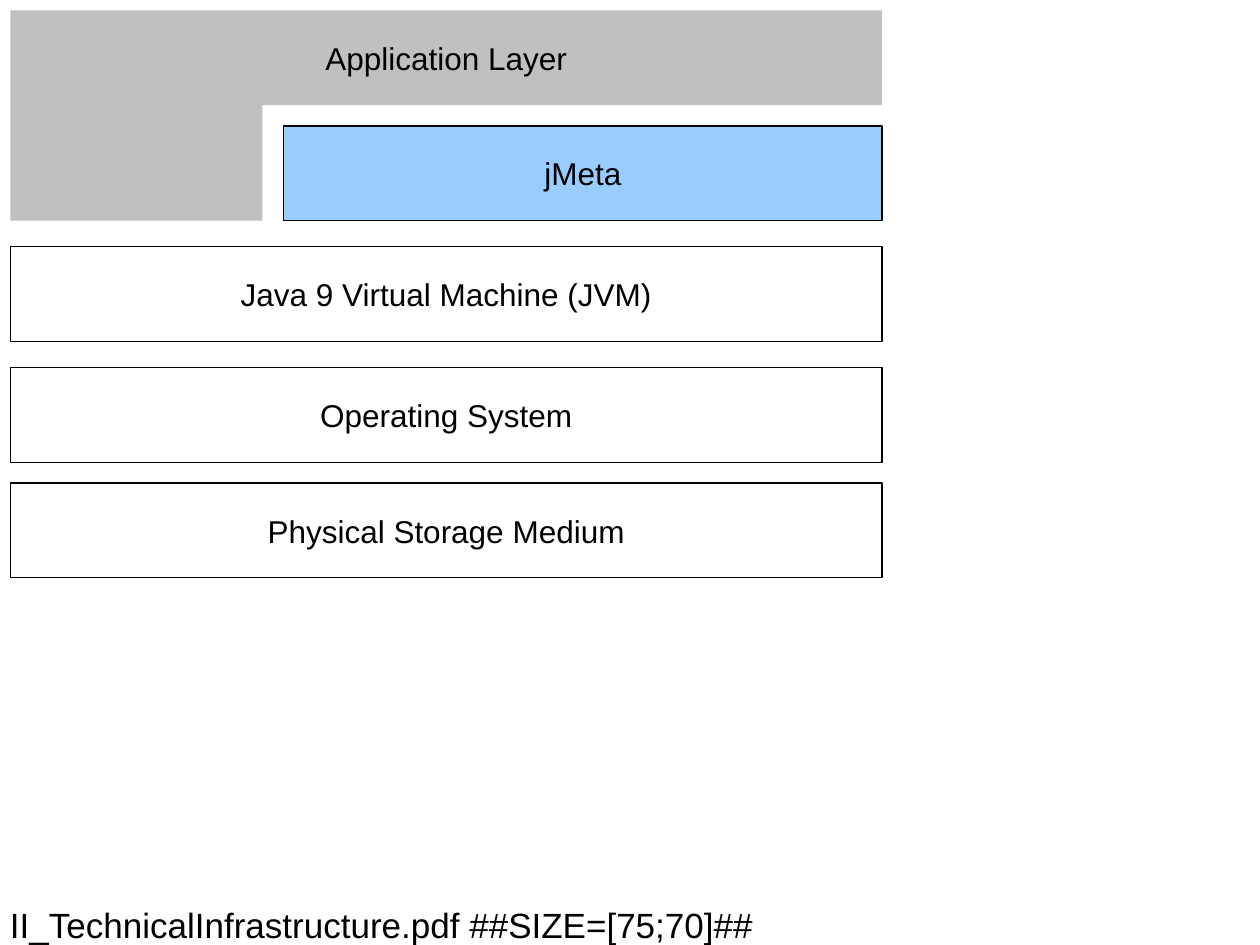
"""Build the technical infrastructure layer diagram slide."""
from pptx import Presentation
from pptx.dml.color import RGBColor
from pptx.enum.shapes import MSO_SHAPE
from pptx.enum.text import MSO_ANCHOR, MSO_AUTO_SIZE, PP_ALIGN
from pptx.util import Cm, Pt

RECT = MSO_SHAPE.RECTANGLE
MIDDLE = MSO_ANCHOR.MIDDLE
CENTER, LEFT = PP_ALIGN.CENTER, PP_ALIGN.LEFT
NO_FIT = MSO_AUTO_SIZE.NONE

FONT = "Arial"
BLACK, GREY, BLUE = "000000", "C0C0C0", "99CCFF"
SLIDE_W, SLIDE_H = 25.4, 19.05
TITLE = "II_TechnicalInfrastructure.pdf ##SIZE=[75;70]##"
TITLE_H = 0.84
X, RIGHT, BAR_H = 0.21, 17.78, 1.91
JMETA_X, STEM_W = 5.72, 5.08
APP_TOP, JMETA_TOP = 0.21, 2.54

LAYERS = [
    ("Java 9 Virtual Machine (JVM)", X, 4.97, None, BLACK),
    ("jMeta", JMETA_X, JMETA_TOP, BLUE, BLACK),
    ("Operating System", X, 7.41, None, BLACK),
    ("Physical Storage Medium", X, 9.74, None, BLACK),
    ("Application Layer", X, APP_TOP, GREY, None),
]


def rgb(color):
    return RGBColor.from_string(color)


def set_text(tf, text, size, align):
    tf.text = text
    tf.vertical_anchor = MIDDLE
    p = tf.paragraphs[0]
    p.alignment = align
    p.font.name = FONT
    p.font.size = Pt(size)
    p.font.color.rgb = rgb(BLACK)


def add_box(s, x, y, w, h, fill, line):
    sp = s.shapes.add_shape(RECT, Cm(x), Cm(y), Cm(w), Cm(h))
    sp.shadow.inherit = False
    if fill:
        sp.fill.solid()
        sp.fill.fore_color.rgb = rgb(fill)
    else:
        sp.fill.background()
    if line:
        sp.line.color.rgb = rgb(line)
        sp.line.width = Pt(0.75)
    else:
        sp.line.fill.background()
    return sp


def add_title(s):
    sp = s.shapes.title
    sp.left, sp.top = Cm(0), Cm(SLIDE_H - TITLE_H)
    sp.width, sp.height = Cm(SLIDE_W), Cm(TITLE_H)
    tf = sp.text_frame
    tf.auto_size = NO_FIT
    tf.margin_left = tf.margin_right = Cm(0.2)
    tf.margin_top = tf.margin_bottom = 0
    set_text(tf, TITLE, 20, LEFT)


def main():
    prs = Presentation()
    prs.slide_width, prs.slide_height = Cm(SLIDE_W), Cm(SLIDE_H)
    s = prs.slides.add_slide(prs.slide_layouts[5])
    add_title(s)
    for text, x, y, fill, line in LAYERS:
        sp = add_box(s, x, y, RIGHT - x, BAR_H, fill, line)
        sp.text_frame.word_wrap = False
        set_text(sp.text_frame, text, 18, CENTER)
    stem_top = APP_TOP + BAR_H
    stem_h = JMETA_TOP + BAR_H - stem_top
    add_box(s, X, stem_top, STEM_W, stem_h, GREY, None)
    prs.save("out.pptx")


if __name__ == "__main__":
    main()
